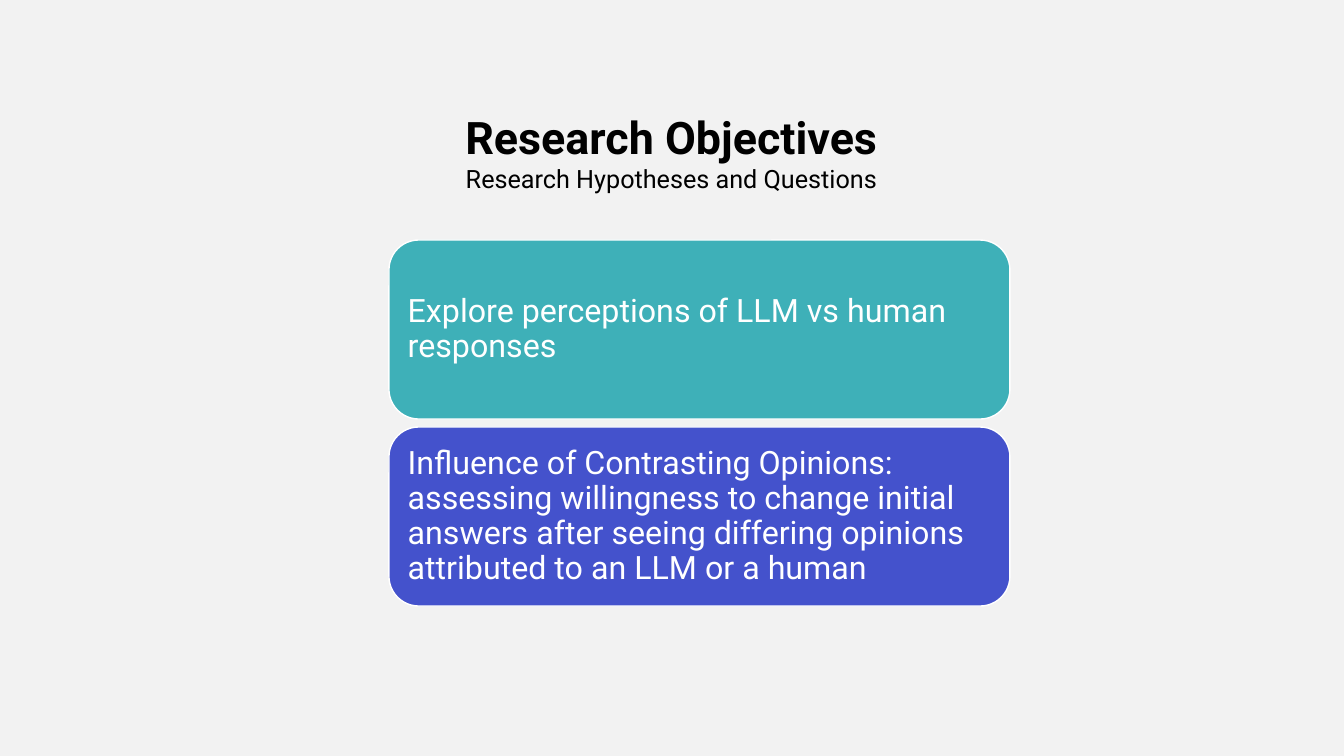
from pptx import Presentation
from pptx.dml.color import RGBColor
from pptx.enum.shapes import MSO_SHAPE
from pptx.enum.text import MSO_ANCHOR, PP_ALIGN
from pptx.util import Emu, Pt

SCALE = 914400 / 100.8
COLORS = {
    "back": "F2F2F2",
    "black": "000000",
    "white": "FFFFFF",
    "teal": "3EB0B8",
    "blue": "4452CC",
}
GOALS = [
    ("teal", "Explore perceptions of LLM vs human responses"),
    ("blue", "Influence of Contrasting Opinions: assessing willingness to change "
             "initial answers after seeing differing opinions attributed to an LLM or a human"),
]


def px(count):
    return Emu(round(count * SCALE))


def color(name):
    return RGBColor.from_string(COLORS[name])


def apply(item, values):
    for key, value in values.items():
        setattr(item, key, value)


def add_run(para, text, size, tint, bold=False):
    run = para.add_run()
    run.text = text
    apply(run.font, {"name": "Roboto", "size": Pt(size), "bold": bold})
    run.font.color.rgb = color(tint)


def set_frame(frame):
    sides = ("margin_left", "margin_top", "margin_right", "margin_bottom")
    apply(frame, dict.fromkeys(sides, px(10)))
    apply(frame, {"word_wrap": True, "vertical_anchor": MSO_ANCHOR.MIDDLE})


def add_title(slide, head, sub):
    box = slide.shapes.add_textbox(px(180), px(76), px(983), px(151))
    set_frame(box.text_frame)
    para = box.text_frame.paragraphs[0]
    para.alignment = PP_ALIGN.CENTER
    add_run(para, head, 32, "black", True)
    para.add_line_break()
    add_run(para, sub, 18, "black")


def add_card(slide, top, fill, text):
    card = slide.shapes.add_shape(
        MSO_SHAPE.ROUNDED_RECTANGLE, px(389), px(top), px(621), px(179))
    card.shadow.inherit = False
    card.fill.solid()
    card.fill.fore_color.rgb = color(fill)
    card.line.color.rgb = color("white")
    card.line.width = Pt(1)
    set_frame(card.text_frame)
    para = card.text_frame.paragraphs[0]
    apply(para, {"alignment": PP_ALIGN.LEFT, "line_spacing": 0.9})
    add_run(para, text, 23, "white")


def main():
    deck = Presentation()
    apply(deck, {"slide_width": px(1344), "slide_height": px(756)})
    slide = deck.slides.add_slide(deck.slide_layouts[6])
    slide.background.fill.solid()
    slide.background.fill.fore_color.rgb = color("back")
    add_title(slide, "Research Objectives", "Research Hypotheses and Questions")
    for index, (fill, text) in enumerate(GOALS):
        add_card(slide, 240 + 187 * index, fill, text)
    deck.save("out.pptx")


if __name__ == "__main__":
    main()
